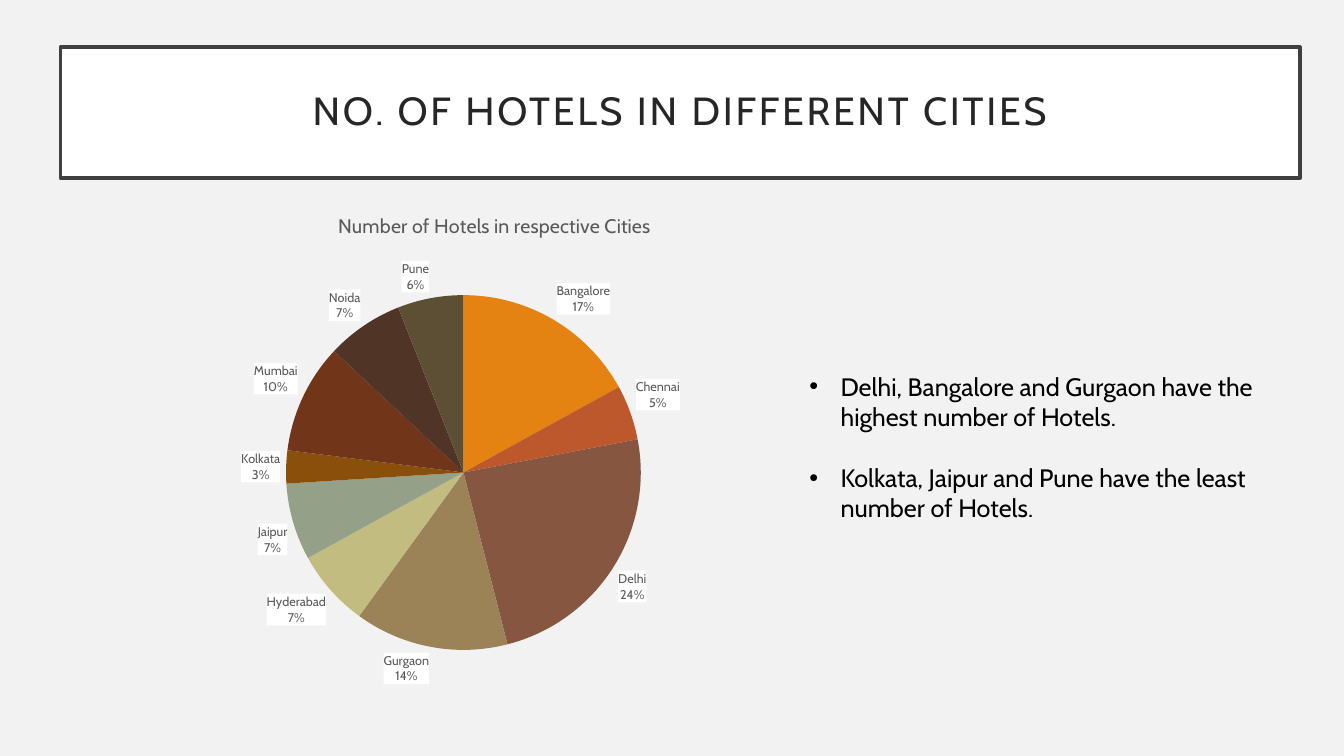
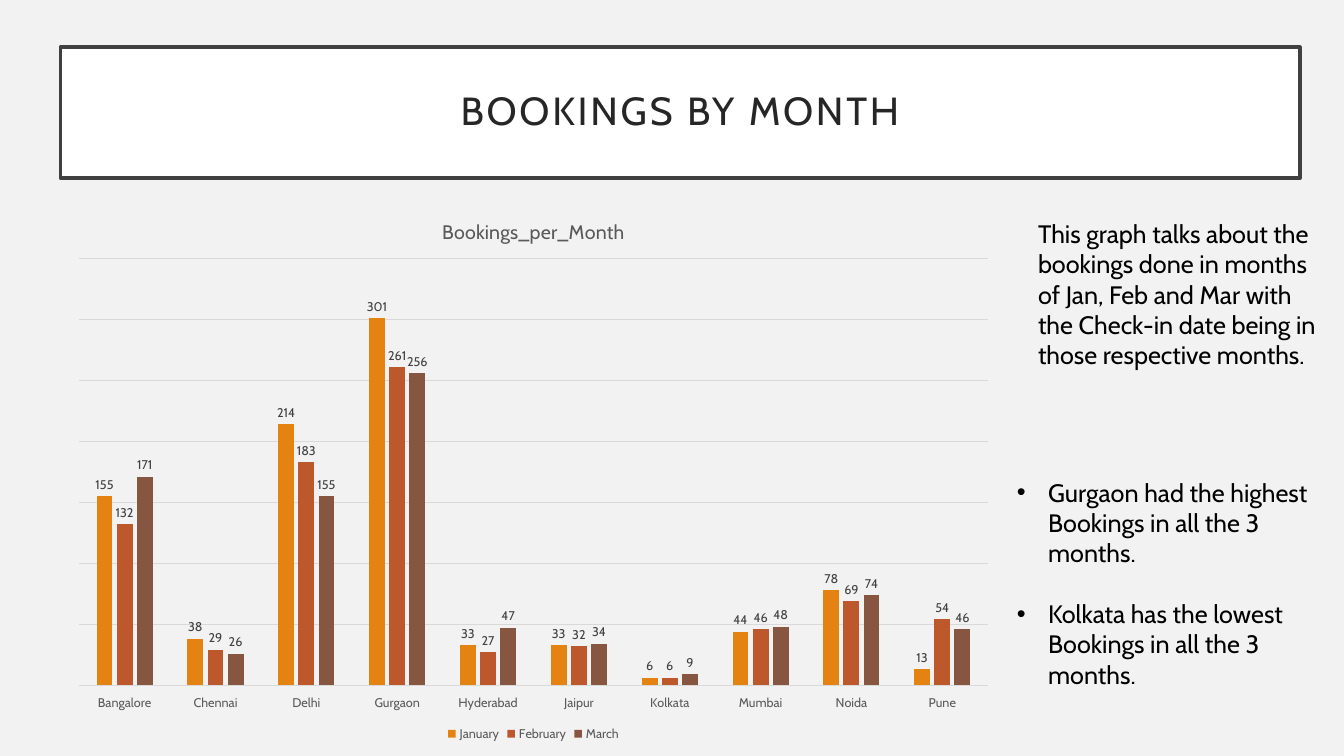
"""Build two slides on hotel numbers and monthly bookings."""
from lxml.etree import SubElement
from pptx import Presentation
from pptx.chart.data import CategoryChartData
from pptx.dml.color import RGBColor
from pptx.enum.chart import XL_CHART_TYPE, XL_LABEL_POSITION, XL_LEGEND_POSITION, XL_TICK_LABEL_POSITION, XL_TICK_MARK
from pptx.enum.text import MSO_ANCHOR, MSO_AUTO_SIZE, PP_ALIGN
from pptx.oxml import parse_xml
from pptx.oxml.ns import nsdecls, qn
from pptx.util import Cm, Pt

FACE = "Cabin"
PAPER = RGBColor(0xF2, 0xF2, 0xF2)
WHITE = RGBColor(0xFF, 0xFF, 0xFF)
BLACK = RGBColor(0x00, 0x00, 0x00)
INK = RGBColor(0x26, 0x26, 0x26)
FRAME = RGBColor(0x40, 0x40, 0x40)
GREY = RGBColor(0x59, 0x59, 0x59)
RULE = RGBColor(0xD9, 0xD9, 0xD9)
HUES = [
    RGBColor(0xE4, 0x83, 0x12), RGBColor(0xBD, 0x58, 0x2C),
    RGBColor(0x86, 0x56, 0x40), RGBColor(0x9B, 0x83, 0x57),
    RGBColor(0xC2, 0xBC, 0x80), RGBColor(0x94, 0xA0, 0x88),
    RGBColor(0x89, 0x4F, 0x0B), RGBColor(0x71, 0x35, 0x1A),
    RGBColor(0x50, 0x34, 0x26), RGBColor(0x5D, 0x4F, 0x34),
]
CITIES = ["Bangalore", "Chennai", "Delhi", "Gurgaon", "Hyderabad",
          "Jaipur", "Kolkata", "Mumbai", "Noida", "Pune"]
HOTELS = {"Series 1": [17, 5, 24, 14, 7, 7, 3, 10, 7, 6]}
MONTHS = {
    "January": [155, 38, 214, 301, 33, 33, 6, 44, 78, 13],
    "February": [132, 29, 183, 261, 27, 32, 6, 46, 69, 54],
    "March": [171, 26, 155, 256, 47, 34, 9, 48, 74, 46],
}


class Deck:
    """Hold the shared style and the current slide."""

    def __init__(self):
        """Start an empty wide deck."""
        self.prs = Presentation()
        self.prs.slide_width, self.prs.slide_height = Cm(33.87), Cm(19.05)
        fill = self.prs.slide_master.background.fill
        fill.solid()
        fill.fore_color.rgb = PAPER

    def paint(self, font, size, color):
        """Set face, size and colour of a font."""
        font.name, font.size, font.bold = FACE, Pt(size), False
        font.color.rgb = color

    def move(self, shape, box):
        """Put a shape at a box given in centimetres."""
        shape.left, shape.top, shape.width, shape.height = map(Cm, box)

    def slide(self, title, items, box):
        """Add a slide with a framed title and a bullet list."""
        self.page = self.prs.slides.add_slide(self.prs.slide_layouts[1])
        head, body = self.page.placeholders
        self.title(head, title)
        self.list(body, items, box)

    def title(self, head, text):
        """Fill and frame the title."""
        self.move(head, (1.52, 1.19, 31.24, 3.3))
        head.fill.solid()
        head.fill.fore_color.rgb = WHITE
        head.line.color.rgb = FRAME
        head.line.width = Pt(2.5)
        frame = head.text_frame
        frame.text = text
        frame.word_wrap = True
        frame.auto_size = MSO_AUTO_SIZE.NONE
        frame.vertical_anchor = MSO_ANCHOR.MIDDLE
        frame.margin_left = frame.margin_right = Cm(0.51)
        frame.margin_top = frame.margin_bottom = Cm(0.51)
        para = frame.paragraphs[0]
        para.alignment = PP_ALIGN.CENTER
        para.line_spacing = 0.9
        run = para.runs[0]
        self.paint(run.font, 28, INK)
        run.font._element.set("spc", "200")

    def list(self, body, items, box):
        """Fill the body with spaced bullets."""
        self.move(body, box)
        frame = body.text_frame
        frame.text = "\n".join(items)
        frame.auto_size = MSO_AUTO_SIZE.NONE
        for i, para in enumerate(frame.paragraphs):
            props = para._p.get_or_add_pPr()
            props.set("marL", str(Cm(0.79)))
            props.set("indent", str(-Cm(0.79)))
            para.space_before = Pt(22 if i else 0)
            self.paint(para.runs[0].font, 18, BLACK)

    def note(self, text, box):
        """Add a plain wrapped text box."""
        frame = self.page.shapes.add_textbox(*map(Cm, box)).text_frame
        frame.word_wrap = True
        frame.text = text
        self.paint(frame.paragraphs[0].runs[0].font, 18, BLACK)

    def chart(self, kind, title, rows, box, area):
        """Add a titled chart with outer labels."""
        data = CategoryChartData()
        data.categories = CITIES
        for name, vals in rows.items():
            data.add_series(name, vals)
        chart = self.page.shapes.add_chart(kind, *map(Cm, box), data).chart
        self.paint(chart.font, 10, BLACK)
        chart.has_legend = False
        chart.has_title = True
        frame = chart.chart_title.text_frame
        frame.text = title
        self.paint(frame.paragraphs[0].runs[0].font, 14, GREY)
        self.place(chart.element.xpath("c:chart/c:plotArea")[0], 0, area)
        for row in chart.plots[0].series:
            labels = row.data_labels
            labels.show_value = True
            labels.position = XL_LABEL_POSITION.OUTSIDE_END
            self.paint(labels.font, 9, FRAME)
        return chart

    def place(self, node, slot, area):
        """Fix a chart part at shares of the chart size."""
        for old in node.findall(qn("c:layout")):
            node.remove(old)
        layout = parse_xml(f"<c:layout {nsdecls('c')}/>")
        node.insert(slot, layout)
        spot = SubElement(layout, qn("c:manualLayout"))
        if len(area) == 4:
            SubElement(spot, qn("c:layoutTarget")).set("val", "inner")
        for key in ("xMode", "yMode"):
            SubElement(spot, qn("c:" + key)).set("val", "edge")
        for key, share in zip("xywh", area):
            SubElement(spot, qn("c:" + key)).set("val", str(share))

    def pie(self, title, rows, box, area, spot):
        """Add a pie with names and shares on white labels."""
        chart = self.chart(XL_CHART_TYPE.PIE, title, rows, box, area)
        self.place(chart.element.xpath("c:chart/c:title")[0], 1, spot)
        plot = chart.plots[0]
        plot.vary_by_categories = True
        row = plot.series[0]
        for i, hue in enumerate(HUES):
            fill = row.points[i].format.fill
            fill.solid()
            fill.fore_color.rgb = hue
        labels = row.data_labels
        labels.show_value = False
        labels.show_percentage = labels.show_category_name = True
        labels.number_format = "0%"
        labels.number_format_is_linked = False
        self.paint(labels.font, 9, GREY)
        node = chart.element.xpath(".//c:ser/c:dLbls")[0]
        node.find(qn("c:txPr")).addprevious(parse_xml(
            f"<c:spPr {nsdecls('c', 'a')}><a:solidFill>"
            f'<a:srgbClr val="{WHITE}"/></a:solidFill></c:spPr>'))
        node.find(qn("c:showBubbleSize")).addnext(parse_xml(
            f"<c:separator {nsdecls('c')}>\n</c:separator>"))

    def bars(self, title, rows, box, area):
        """Add clustered columns with a legend below."""
        chart = self.chart(XL_CHART_TYPE.COLUMN_CLUSTERED, title, rows, box, area)
        plot = chart.plots[0]
        plot.vary_by_categories = False
        plot.gap_width, plot.overlap = 219, -27
        for row, hue in zip(plot.series, HUES):
            row.format.fill.solid()
            row.format.fill.fore_color.rgb = hue
        base, scale = chart.category_axis, chart.value_axis
        base.major_tick_mark = XL_TICK_MARK.NONE
        base.tick_label_position = XL_TICK_LABEL_POSITION.LOW
        self.paint(base.tick_labels.font, 9, GREY)
        scale.visible = False
        scale.minimum_scale, scale.maximum_scale = 0, 350
        scale.major_unit = 50
        scale.has_major_gridlines = True
        for part in (base, scale.major_gridlines):
            part.format.line.color.rgb = RULE
            part.format.line.width = Pt(0.75)
        chart.has_legend = True
        chart.legend.position = XL_LEGEND_POSITION.BOTTOM
        chart.legend.include_in_layout = False
        self.paint(chart.legend.font, 9, GREY)


def main():
    """Build and save the deck."""
    deck = Deck()
    deck.slide("NO. OF HOTELS IN DIFFERENT CITIES", [
        "Delhi, Bangalore and Gurgaon have the highest number of Hotels.",
        "Kolkata, Jaipur and Pune have the least number of Hotels.",
    ], (20.14, 9.22, 12.19, 4.11))
    deck.pie("Number of Hotels in respective Cities", HOTELS,
             (1.52, 4.88, 20.32, 12.78), (0.28, 0.2, 0.44, 0.7), (0.34, 0.03))
    deck.slide("BOOKINGS BY MONTH", [
        "Gurgaon had the highest Bookings in all the 3 months.",
        "Kolkata has the lowest Bookings in all the 3 months.",
    ], (25.37, 11.89, 8, 5.64))
    deck.note("This graph talks about the bookings done in months of Jan, Feb "
              "and Mar with the Check-in date being in those respective months.",
              (25.91, 5.38, 7.67, 4.11))
    deck.bars("Bookings_per_Month", MONTHS,
              (1.52, 5, 23.85, 13.79), (0.02, 0.11, 0.96, 0.78))
    deck.prs.save("out.pptx")


if __name__ == "__main__":
    main()
